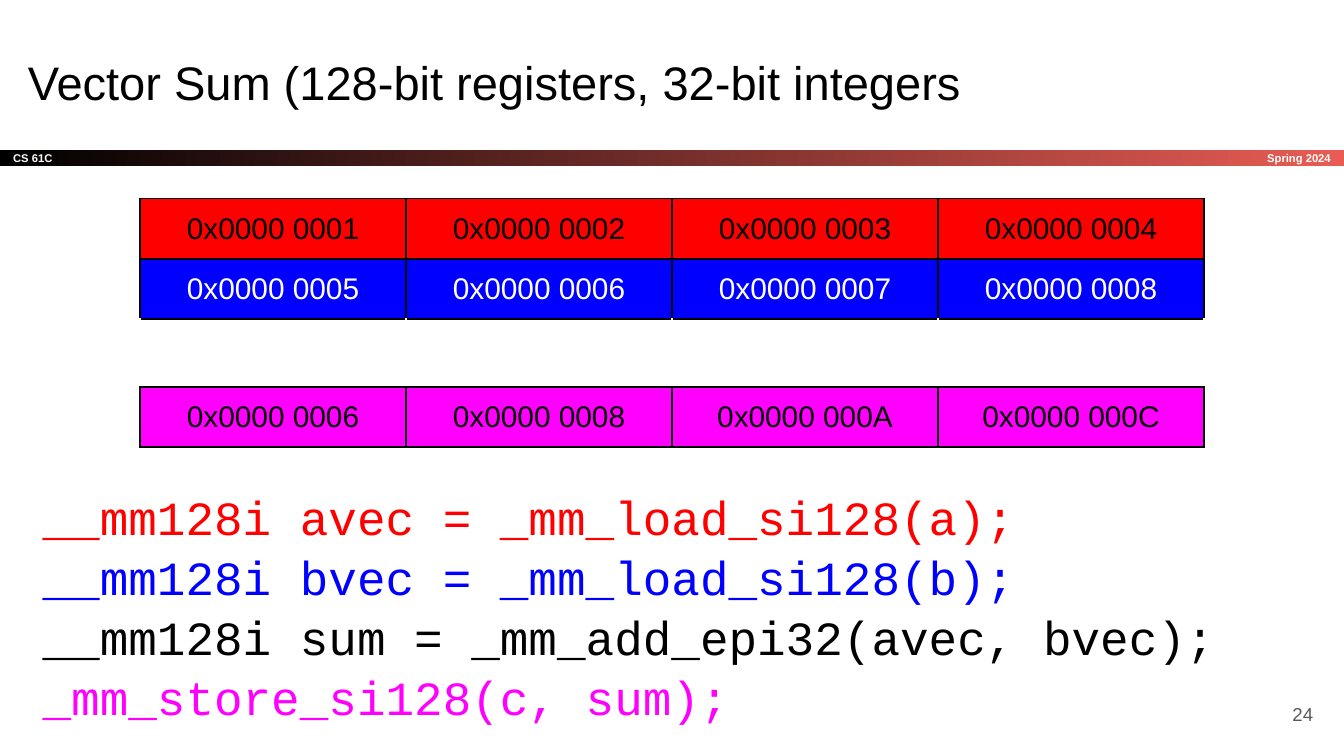
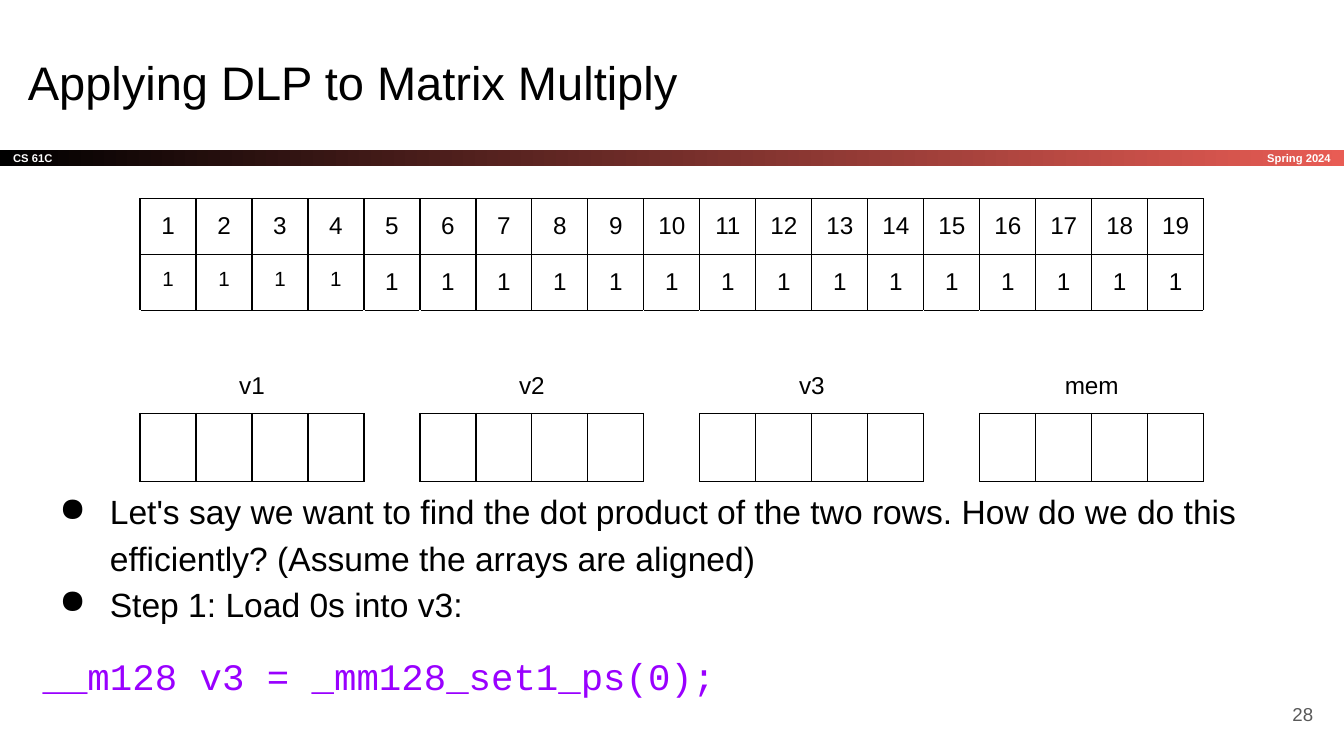
"""Build two lecture slides on vector registers and data-level parallelism."""
import pptx
import pptx.dml.color
import pptx.enum.shapes
import pptx.enum.text
import pptx.oxml.ns
import pptx.util
from lxml import etree

Pt = pptx.util.Pt
ALIGN = pptx.enum.text.PP_ALIGN
ANCHOR = pptx.enum.text.MSO_ANCHOR

COLORS = {
    "black": "000000", "white": "FFFFFF", "coral": "E85C54", "gray": "595959",
    "red": "FF0000", "blue": "0000FF", "magenta": "FF00FF", "purple": "9900FF",
}
SANS, MONO = "Arial", "Courier New"
WIDTH, HEIGHT = 720, 405
INSET = 7.2
BAND = (0, 80.2, WIDTH, 8.6)
TERM = (600.5, 80.2, 119.5, 8.6)
TITLE = (7.8, 21.6, 671, 45.4)
BODY = (15.8, 252.7, 689, 141.8)
NUMBER = (667.4, 367.2, 43.2, 31)
TABLE_LEFT, TABLE_TOP, TABLE_WIDTH, ROW = 75, 106.5, 570, 30
LABEL_ROW = 55
SIDES = "LRTB"


def cell(text="", size=13, color="black", fill=None, edges=SIDES, span=1):
    """Describe one table cell; edges names its black sides."""
    return {"text": text, "size": size, "color": color, "fill": fill,
            "edges": edges, "span": span}


def register_row(values, color, fill):
    """Describe a row of 32-bit register lanes."""
    return ROW, [cell(f"0x0000 {value}", 16, color, fill) for value in values]


def vector_rows(names, lanes):
    """Describe a label row and a row of empty lanes, with gaps between vectors."""
    labels, boxes = [], []
    for name in names:
        if labels:
            labels.append(cell(edges="T"))
            boxes.append(cell(edges="LR"))
        labels.append(cell(name, edges="TB", span=lanes))
        boxes += [cell() for _ in range(lanes)]
    return [(LABEL_ROW, labels), (ROW, boxes)]


SLIDES = [
    {
        "title": "Vector Sum (128-bit registers, 32-bit integers",
        "number": "24",
        "columns": 4,
        "rows": [
            register_row(["0001", "0002", "0003", "0004"], "black", "red"),
            register_row(["0005", "0006", "0007", "0008"], "white", "blue"),
            (ROW, [cell(edges="TB") for _ in range(4)]),
            register_row(["0006", "0008", "000A", "000C"], "black", "magenta"),
        ],
        "body": [
            {"font": MONO, "size": 25.5, "spacing": 1.05, "after": 12, "lines": [
                ("__mm128i avec = _mm_load_si128(a);", "red"),
                ("__mm128i bvec = _mm_load_si128(b);", "blue"),
                ("__mm128i sum = _mm_add_epi32(avec, bvec);", "black"),
                ("_mm_store_si128(c, sum);", "magenta"),
            ]},
        ],
    },
    {
        "title": "Applying DLP to Matrix Multiply",
        "number": "28",
        "columns": 19,
        "rows": [
            (ROW, [cell(str(value)) for value in range(1, 20)]),
            (ROW, [cell("1", 11 if column < 4 else 13) for column in range(19)]),
            *vector_rows(["v1", "v2", "v3", "mem"], 4),
        ],
        "body": [
            {"size": 18, "spacing": 1.15, "bullet": "●", "lines": [
                ("Let's say we want to find the dot product of the two rows. "
                 "How do we do this efficiently? (Assume the arrays are aligned)", "black"),
            ]},
            {"size": 18, "spacing": 1.15, "bullet": "●", "lines": [
                ("Step 1: Load 0s into v3:", "black"),
            ]},
            {"font": MONO, "size": 20, "spacing": 1.15, "before": 12, "after": 12, "lines": [
                ("__m128 v3 = _mm128_set1_ps(0);", "purple"),
            ]},
        ],
    },
]


def rgb(name):
    """Look up a named colour."""
    return pptx.dml.color.RGBColor.from_string(COLORS[name])


def add_element(parent, tag, **attributes):
    """Append an XML element such as a:ln."""
    return etree.SubElement(parent, pptx.oxml.ns.qn(tag), attributes)


def add_solid(parent, tag, color):
    """Append an element that holds one RGB colour."""
    add_element(add_element(parent, tag), "a:srgbClr", val=COLORS[color])


def add_run(paragraph, text, size, color, font=SANS, bold=False):
    """Add one formatted run."""
    run = paragraph.add_run()
    run.text = text
    run.font.name = font
    run.font.size = Pt(size)
    run.font.bold = bold
    run.font.color.rgb = rgb(color)


def set_insets(holder):
    """Give a text frame or a cell the shared insets."""
    for side in ("left", "right", "top", "bottom"):
        setattr(holder, f"margin_{side}", Pt(INSET))


def prepare_frame(shape, anchor):
    """Set up the text frame of a shape and return its first paragraph."""
    frame = shape.text_frame
    frame.word_wrap = True
    frame.auto_size = pptx.enum.text.MSO_AUTO_SIZE.NONE
    frame.vertical_anchor = anchor
    set_insets(frame)
    return frame.paragraphs[0]


def add_box(slide, place, anchor=ANCHOR.TOP):
    """Add a text box and return it with its first paragraph."""
    box = slide.shapes.add_textbox(*map(Pt, place))
    return box, prepare_frame(box, anchor)


def add_label(slide, place, text, size, color, anchor=ANCHOR.MIDDLE,
              align=ALIGN.RIGHT, bold=False):
    """Add a text box with a single run."""
    paragraph = add_box(slide, place, anchor)[1]
    paragraph.alignment = align
    add_run(paragraph, text, size, color, bold=bold)


def add_band(slide):
    """Add the gradient band with course and term."""
    band = slide.shapes.add_shape(
        pptx.enum.shapes.MSO_SHAPE.RECTANGLE, *map(Pt, BAND))
    band.shadow.inherit = False
    band.line.fill.background()
    band.fill.gradient()
    band.fill.gradient_angle = 0
    for stop, position, color in zip(band.fill.gradient_stops, (0, 1), ("black", "coral")):
        stop.position = position
        stop.color.rgb = rgb(color)
    paragraph = prepare_frame(band, ANCHOR.MIDDLE)
    paragraph.alignment = ALIGN.LEFT
    add_run(paragraph, "CS 61C", 6, "white", bold=True)
    add_label(slide, TERM, "Spring 2024", 6, "white", bold=True)


def add_body(slide, content):
    """Add the body text, paragraph by paragraph."""
    box, paragraph = add_box(slide, BODY)
    for index, item in enumerate(content):
        if index:
            paragraph = box.text_frame.add_paragraph()
        paragraph.line_spacing = item["spacing"]
        paragraph.space_before = Pt(item.get("before", 0))
        paragraph.space_after = Pt(item.get("after", 0))
        if "bullet" in item:
            properties = paragraph._p.get_or_add_pPr()
            properties.set("marL", str(Pt(36)))
            properties.set("indent", str(Pt(-27)))
            add_solid(properties, "a:buClr", "black")
            add_element(properties, "a:buChar", char=item["bullet"])
        for line, (text, color) in enumerate(item["lines"]):
            if line:
                paragraph.add_line_break()
            add_run(paragraph, text, item["size"], color, item.get("font", SANS))


def style_cell(target, content):
    """Set borders, insets and fill of a table cell."""
    properties = target._tc.get_or_add_tcPr()
    for side in SIDES:
        line = add_element(properties, f"a:ln{side}", w=str(Pt(0.75)))
        add_solid(line, "a:solidFill", "black" if side in content["edges"] else "white")
    set_insets(target)
    if content["fill"]:
        target.fill.solid()
        target.fill.fore_color.rgb = rgb(content["fill"])
    else:
        target.fill.background()


def add_grid(slide, columns, rows):
    """Add the table of register lanes."""
    height = sum(row_height for row_height, _ in rows)
    table = slide.shapes.add_table(
        len(rows), columns, Pt(TABLE_LEFT), Pt(TABLE_TOP), Pt(TABLE_WIDTH), Pt(height)).table
    table.first_row = table.horz_banding = False
    for column in table.columns:
        column.width = Pt(TABLE_WIDTH / columns)
    for row, (row_height, cells) in enumerate(rows):
        table.rows[row].height = Pt(row_height)
        column = 0
        for content in cells:
            end = column + content["span"]
            for position in range(column, end):
                style_cell(table.cell(row, position), content)
            target = table.cell(row, column)
            if content["span"] > 1:
                target.merge(table.cell(row, end - 1))
                target.vertical_anchor = ANCHOR.BOTTOM
            if content["text"]:
                paragraph = target.text_frame.paragraphs[0]
                paragraph.alignment = ALIGN.CENTER
                add_run(paragraph, content["text"], content["size"], content["color"])
            column = end


def main():
    """Build and save the presentation."""
    presentation = pptx.Presentation()
    presentation.slide_width, presentation.slide_height = Pt(WIDTH), Pt(HEIGHT)
    for content in SLIDES:
        slide = presentation.slides.add_slide(presentation.slide_layouts[6])
        add_band(slide)
        add_label(slide, TITLE, content["title"], 25.2, "black", ANCHOR.TOP, ALIGN.LEFT)
        add_body(slide, content["body"])
        add_grid(slide, content["columns"], content["rows"])
        add_label(slide, NUMBER, content["number"], 10, "gray")
    presentation.save("out.pptx")


if __name__ == "__main__":
    main()
